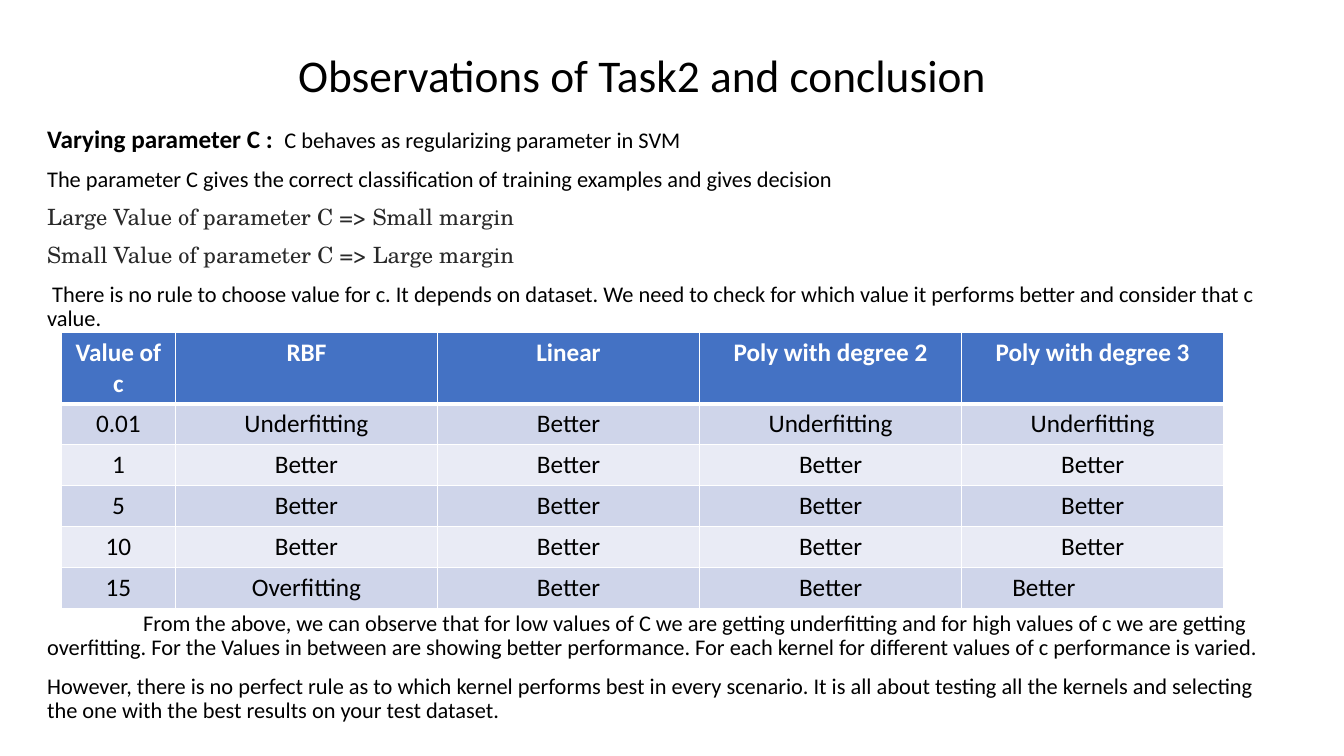
"""Build the slide on SVM observations for different values of C."""
from lxml.etree import SubElement
from pptx import Presentation
from pptx.dml.color import RGBColor
from pptx.enum.text import MSO_ANCHOR, MSO_AUTO_SIZE, PP_ALIGN
from pptx.oxml.ns import qn
from pptx.util import Pt

BLACK = RGBColor(0x00, 0x00, 0x00)
DARK = RGBColor(0x29, 0x29, 0x29)
WHITE = RGBColor(0xFF, 0xFF, 0xFF)
BLUE = RGBColor(0x44, 0x72, 0xC4)
BAND = RGBColor(0xCF, 0xD5, 0xEA)
LIGHT = RGBColor(0xE9, 0xEB, 0xF5)


def add_run(p, text, color=BLACK, **font):
    r = p.add_run()
    r.text = text
    for name, value in ({"name": "Calibri", "bold": False} | font).items():
        setattr(r.font, name, value)
    r.font.color.rgb = color


def add_border(cell, side, width):
    ln = SubElement(cell._tc.get_or_add_tcPr(), qn(f"a:{side}"), w=str(Pt(width)))
    fill = SubElement(ln, qn("a:solidFill"))
    SubElement(fill, qn("a:srgbClr"), val=str(WHITE))


prs = Presentation()
prs.slide_width, prs.slide_height = Pt(960), Pt(540)
s = prs.slides.add_slide(prs.slide_layouts[5])

title = s.shapes.title
box = {"left": Pt(80.6), "top": Pt(37.4), "width": Pt(756), "height": Pt(39.6)}
for name, value in box.items():
    setattr(title, name, value)
tf = title.text_frame
frame = {"vertical_anchor": MSO_ANCHOR.BOTTOM, "auto_size": MSO_AUTO_SIZE.NONE, "word_wrap": True}
for name, value in frame.items():
    setattr(tf, name, value)
p = tf.paragraphs[0]
p.alignment, p.line_spacing = PP_ALIGN.CENTER, 0.9
add_run(p, "Observations of Task2 and conclusion", size=Pt(32.4))

body = s.shapes.add_textbox(Pt(26.6), Pt(87.1), Pt(890), Pt(438.5))
tf = body.text_frame
tf.word_wrap = True
p = tf.paragraphs[0]
p.line_spacing, p.space_before = 0.9, Pt(10)
add_run(p, "Varying parameter C :  ", size=Pt(18), bold=True)
add_run(p, "C behaves as regularizing parameter in SVM", size=Pt(16))

SERIF = "TeX Gyre Schola"
notes = [
    ("The parameter C gives the correct classification of training examples and gives decision",
     "Calibri", BLACK, 10, 0),
    ("Large Value of parameter C => Small margin", SERIF, DARK, 10, 0),
    ("Small Value of parameter C => Large margin", SERIF, DARK, 10, 0),
    ("There is no rule to choose value for c. It depends on dataset. We need to check for which "
     "value it performs better and consider that c value.", "Calibri", BLACK, 10, 3.6),
    ("From the above, we can observe that for low values of C we are getting underfitting and for "
     "high values of c we are getting overfitting. For the Values in between are showing better "
     "performance. For each kernel for different values of c performance is varied.",
     "Calibri", BLACK, 201, 68.6),
    ("However, there is no perfect rule as to which kernel performs best in every scenario. It is "
     "all about testing all the kernels and selecting the one with the best results on your test "
     "dataset.", "Calibri", BLACK, 10, 0),
]
for text, font, color, before, indent in notes:
    p = tf.add_paragraph()
    p.line_spacing, p.space_before = 0.9, Pt(before)
    p._p.get_or_add_pPr().set("indent", str(Pt(indent)))
    add_run(p, text, color, name=font, size=Pt(16))

rows = [
    ["Value of c", "RBF", "Linear", "Poly with degree 2", "Poly with degree 3"],
    ["0.01", "Underfitting", "Better", "Underfitting", "Underfitting"],
    ["1"] + ["Better"] * 4,
    ["5"] + ["Better"] * 4,
    ["10"] + ["Better"] * 4,
    ["15", "Overfitting"] + ["Better"] * 3,
]
table = s.shapes.add_table(6, 5, Pt(43.9), Pt(237.6), Pt(830.2), Pt(197)).table
for i, col in enumerate(table.columns):
    col.width = Pt(187.2 if i else 81.4)
for i, row in enumerate(rows):
    table.rows[i].height = Pt(29.25 if i else 50.75)
    for j, text in enumerate(row):
        cell = table.cell(i, j)
        for side in ("lnL", "lnR", "lnT", "lnB"):
            header_edge = (i, side) in ((0, "lnB"), (1, "lnT"))
            add_border(cell, side, 3 if header_edge else 1)
        cell.fill.solid()
        cell.fill.fore_color.rgb = BLUE if i == 0 else BAND if i % 2 else LIGHT
        p = cell.text_frame.paragraphs[0]
        p.alignment = PP_ALIGN.CENTER
        add_run(p, text, BLACK if i else WHITE, size=Pt(18), bold=i == 0)
table.cell(5, 4).margin_right = Pt(77)

prs.save("out.pptx")
